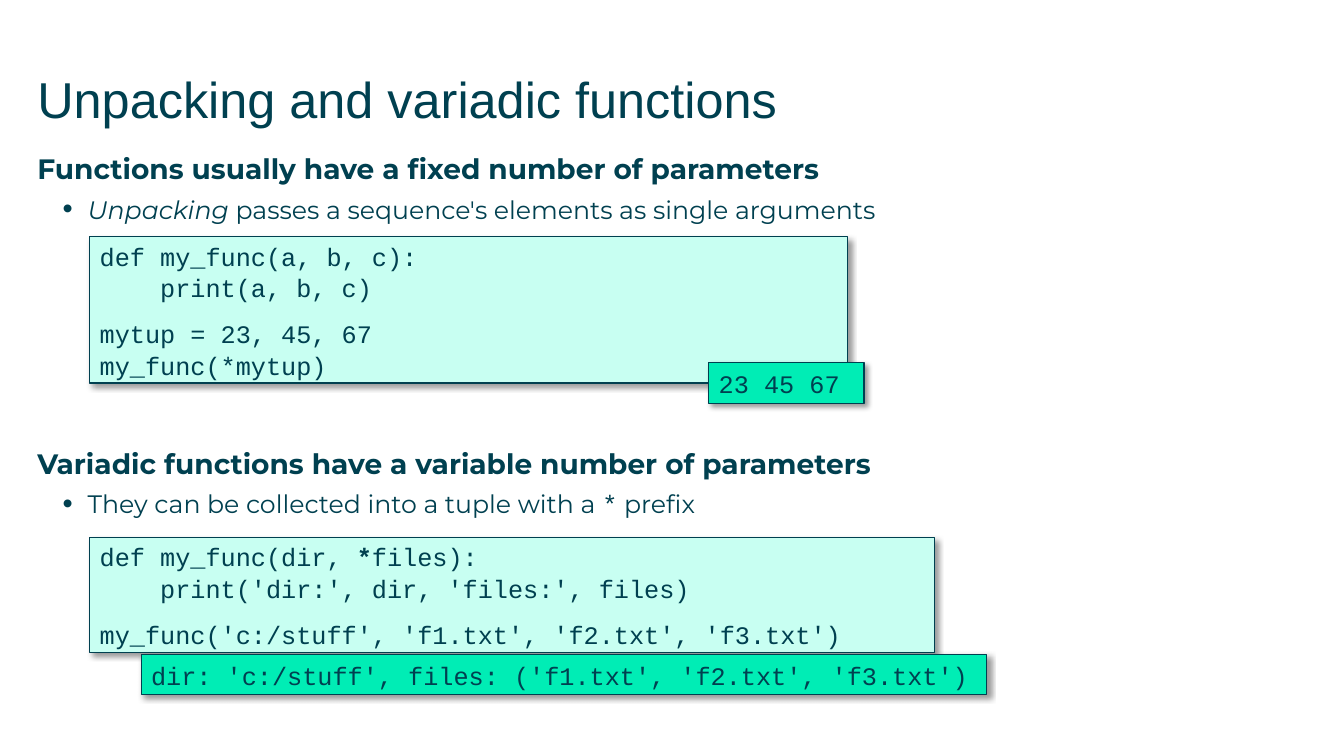
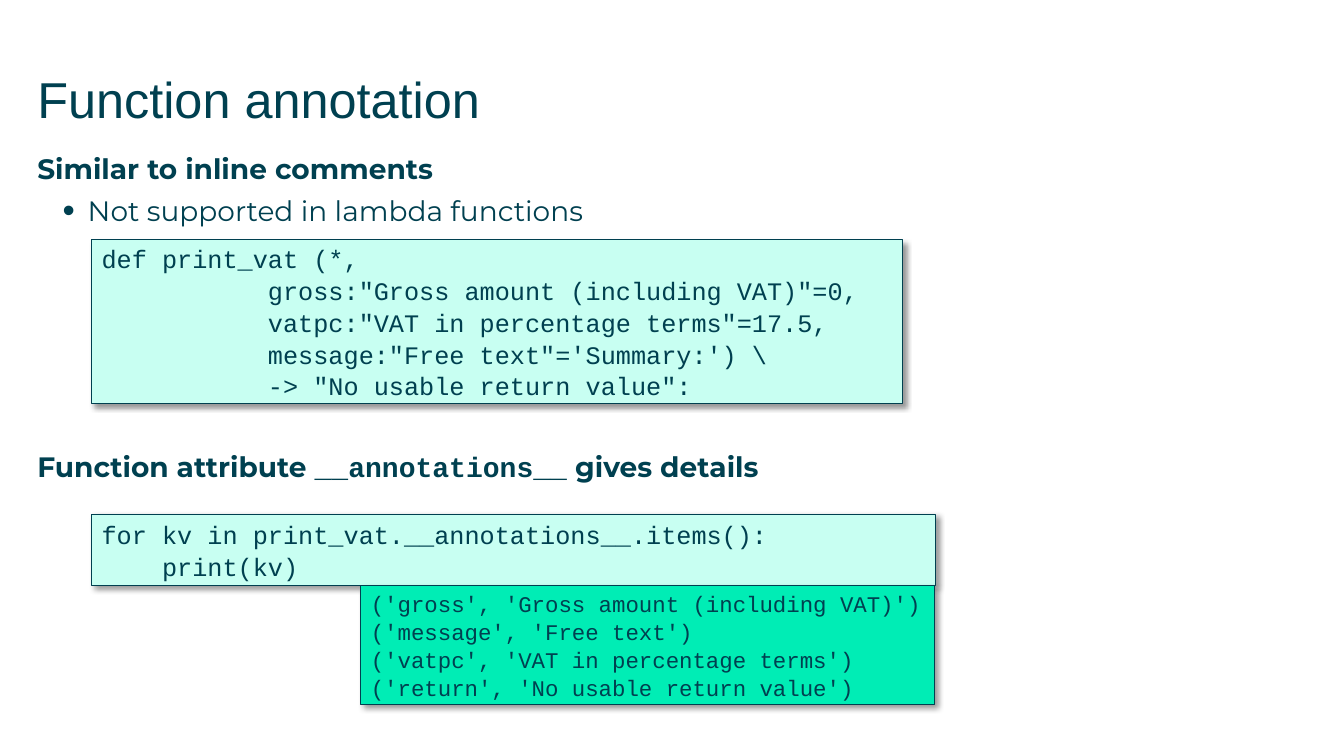
"""Build two slides on variadic functions and function annotation."""
from lxml.etree import SubElement
from pptx import Presentation
from pptx.dml.color import RGBColor
from pptx.enum.shapes import MSO_SHAPE
from pptx.enum.text import MSO_ANCHOR, MSO_AUTO_SIZE, PP_ALIGN
from pptx.oxml.ns import qn
from pptx.util import Inches, Pt

COLORS = {"ink": "004050", "code": "C8FFF2", "output": "00EDB5", "shadow": "000000"}
TITLE = {"name": "Arial", "size": Pt(36)}
HEADING = {"name": "Montserrat", "size": Pt(20), "bold": True}
BULLET = {"name": "Montserrat", "size": Pt(18), "bold": False}
LARGE_BULLET = BULLET | {"size": Pt(20)}
MONO = {"name": "Courier New"}
CODE = MONO | {"size": Pt(18)}
SMALL_CODE = MONO | {"size": Pt(16)}
FRAME = {"auto_size": MSO_AUTO_SIZE.NONE, "word_wrap": True}
FLUSH = FRAME | {"margin_left": 0, "margin_right": 0, "margin_bottom": 0,
                 "vertical_anchor": MSO_ANCHOR.TOP}
TITLE_FRAME = FLUSH | {"margin_top": Inches(0.07)}
BODY_FRAME = FLUSH | {"margin_top": 0}
CODE_FRAME = FRAME | {"vertical_anchor": MSO_ANCHOR.MIDDLE}
BODY_PARAGRAPH = {"space_before": Pt(0), "space_after": Pt(6.5), "line_spacing": 1.0}
SECOND_HEADING_GAP = {"space_before": Pt(152)}
CODE_PARAGRAPH = {"alignment": PP_ALIGN.LEFT, "line_spacing": 1.05}
CODE_GAP = {"space_before": Pt(10)}

SLIDES = [
    {
        "title": "Unpacking and variadic functions",
        "body": [
            (HEADING, {}, None, [("Functions usually have a fixed number of parameters", {})]),
            (BULLET, {}, 115, [("Unpacking", {"italic": True}),
                               (" passes a sequence's elements as single arguments", {})]),
            (HEADING, SECOND_HEADING_GAP, None,
             [("Variadic functions have a variable number of parameters", {})]),
            (BULLET, {}, 115, [("They can be collected into a tuple with a ", {}),
                               ("*", MONO), (" prefix", {})]),
        ],
        "boxes": [
            ("code", (0.89, 5.33, 8.38, 1.14), CODE, [
                ({}, [("def my_func(dir, ", {}), ("*", {"bold": True}), ("files):", {})]),
                ({}, [("    print('dir:', dir, 'files:', files)", {})]),
                (CODE_GAP, [("my_func('c:/stuff', 'f1.txt', 'f2.txt', 'f3.txt')", {})]),
            ]),
            ("output", (1.4, 6.49, 8.38, 0.4), CODE, [
                ({}, [("dir: 'c:/stuff', files: ('f1.txt', 'f2.txt', 'f3.txt')", {})]),
            ]),
            ("code", (0.89, 2.35, 7.52, 1.45), CODE, [
                ({}, [("def my_func(a, b, c):", {})]),
                ({}, [("    print(a, b, c)", {})]),
                (CODE_GAP, [("mytup = 23, 45, 67", {})]),
                ({}, [("my_func(*mytup)", {})]),
            ]),
            ("output", (7.03, 3.6, 1.54, 0.4), CODE, [({}, [("23 45 67", {})])]),
        ],
    },
    {
        "title": "Function annotation",
        "body": [
            (HEADING, {}, None, [("Similar to inline comments", {})]),
            (LARGE_BULLET, {"level": 1}, 125, [("Not supported in lambda functions", {})]),
            (HEADING, SECOND_HEADING_GAP, None,
             [("Function attribute ", {}), ("__annotations__", MONO), (" gives details", {})]),
        ],
        "boxes": [
            ("code", (0.91, 2.38, 8.04, 1.62), CODE, [
                ({}, [("def print_vat (*,", {})]),
                ({}, [('           gross:"Gross amount (including VAT)"=0,', {})]),
                ({}, [('           vatpc:"VAT in percentage terms"=17.5,', {})]),
                ({}, [("           message:\"Free text\"='Summary:') \\", {})]),
                ({}, [('           -> "No usable return value":', {})]),
            ]),
            ("code", (0.91, 5.1, 8.37, 0.71), CODE, [
                ({}, [("for kv in print_vat.__annotations__.items():", {})]),
                ({}, [("    print(kv)", {})]),
            ]),
            ("output", (3.58, 5.81, 5.69, 1.18), SMALL_CODE, [
                ({}, [("('gross', 'Gross amount (including VAT)')", {})]),
                ({}, [("('message', 'Free text')", {})]),
                ({}, [("('vatpc', 'VAT in percentage terms')", {})]),
                ({}, [("('return', 'No usable return value')", {})]),
            ]),
        ],
    },
]


def apply(target, values):
    for name, value in values.items():
        setattr(target, name, value)


def write_runs(paragraph, style, runs):
    for text, changes in runs:
        run = paragraph.add_run()
        run.text = text
        apply(run.font, style | changes)
        run.font.color.rgb = RGBColor.from_string(COLORS["ink"])


deck = Presentation()
deck.slide_width, deck.slide_height = Inches(13.33), Inches(7.5)

for content in SLIDES:
    slide = deck.slides.add_slide(deck.slide_layouts[1])
    title, body = slide.placeholders
    for holder, place, frame in (
        (title, (0.37, 0.61, 12.6, 0.88), TITLE_FRAME),
        (body, (0.37, 1.5, 12.59, 5.42), BODY_FRAME),
    ):
        holder.left, holder.top, holder.width, holder.height = map(Inches, place)
        apply(holder.text_frame, frame)

    heading = title.text_frame.paragraphs[0]
    heading.alignment = PP_ALIGN.LEFT
    write_runs(heading, TITLE, [(content["title"], {})])

    for index, (style, layout, bullet_size, runs) in enumerate(content["body"]):
        frame = body.text_frame
        line = frame.add_paragraph() if index else frame.paragraphs[0]
        properties = line._p.get_or_add_pPr()
        if bullet_size:
            properties.set("marL", str(Inches(0.5)))
            properties.set("indent", str(Inches(-0.25)))
            SubElement(properties, qn("a:buSzPct"), val=str(bullet_size * 1000))
            SubElement(properties, qn("a:buFont"), typeface="Arial")
            SubElement(properties, qn("a:buChar"), char="•")
        else:
            properties.set("marL", "0")
            properties.set("indent", "0")
            SubElement(properties, qn("a:buNone"))
        apply(line, BODY_PARAGRAPH | layout)
        write_runs(line, style, runs)

    for kind, place, style, lines in content["boxes"]:
        box = slide.shapes.add_shape(MSO_SHAPE.RECTANGLE, *map(Inches, place))
        box.fill.solid()
        box.fill.fore_color.rgb = RGBColor.from_string(COLORS[kind])
        box.line.color.rgb = RGBColor.from_string(COLORS["ink"])
        box.line.width = Pt(0.75)
        box.shadow.inherit = False
        effects = box._element.spPr.find(qn("a:effectLst"))
        shadow = SubElement(effects, qn("a:outerShdw"), blurRad=str(Pt(4)), dist=str(Pt(3)),
                            dir=str(45 * 60000), algn="tl", rotWithShape="0")
        tint = SubElement(shadow, qn("a:srgbClr"), val=COLORS["shadow"])
        SubElement(tint, qn("a:alpha"), val="40000")
        apply(box.text_frame, CODE_FRAME)
        for index, (layout, runs) in enumerate(lines):
            frame = box.text_frame
            line = frame.add_paragraph() if index else frame.paragraphs[0]
            apply(line, CODE_PARAGRAPH | layout)
            write_runs(line, style, runs)

deck.save("out.pptx")
